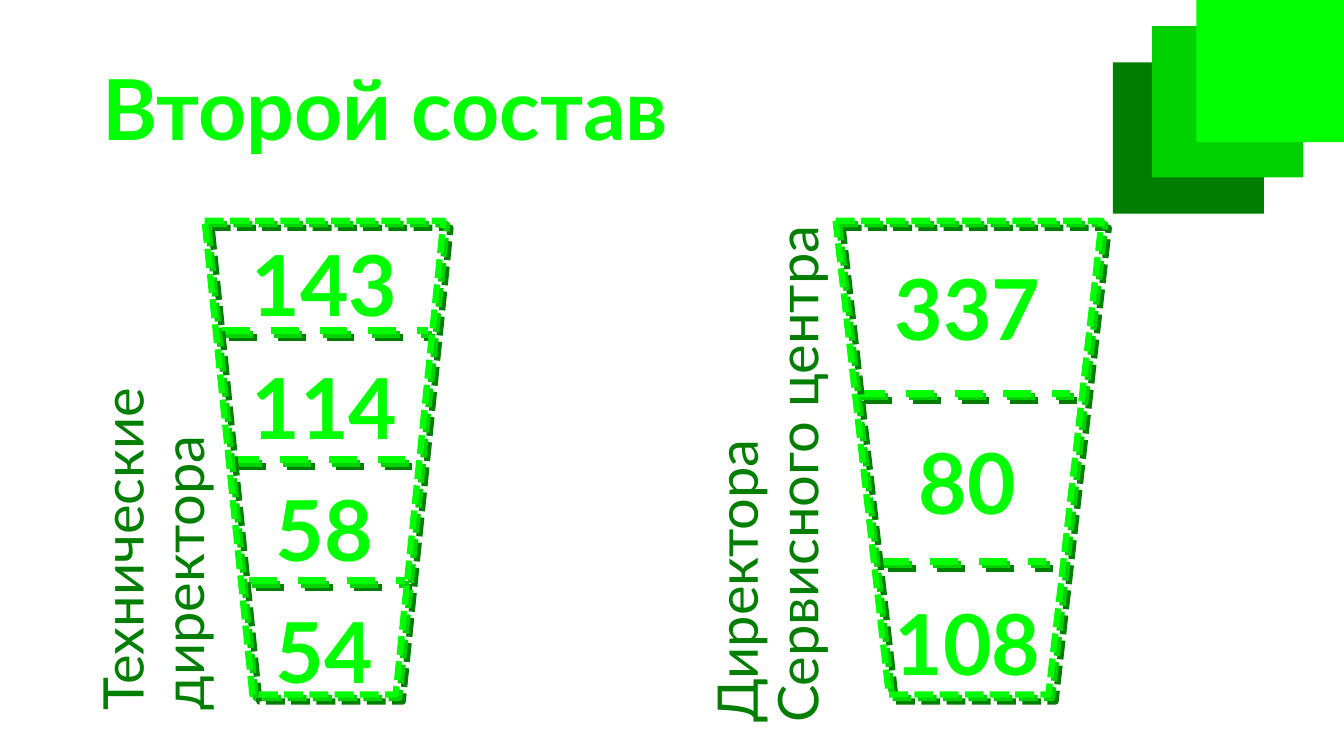
"""Build the slide with two funnels of team figures."""
from lxml.etree import SubElement
from pptx import Presentation
from pptx.dml.color import RGBColor
from pptx.enum.dml import MSO_LINE
from pptx.enum.shapes import MSO_CONNECTOR, MSO_SHAPE
from pptx.enum.text import MSO_ANCHOR, MSO_AUTO_SIZE, PP_ALIGN
from pptx.oxml.ns import qn
from pptx.util import Pt

COLORS = {"dark": "007E00", "middle": "00D200", "bright": "00FF00"}
LAYERS = ("dark", "middle", "bright")
FONT = "Lato"
LAYER_STEP = 2.5
FUNNEL_TOP, FUNNEL_HEIGHT = 157.7, 338.4
VALUE_HEIGHT = 80
NARROW, WIDE = 133.2, 214.6

FUNNELS = (
    {
        "left": 146.2, "width": 170.6, "center": 231.8,
        "dividers": ((158.4, 306, 236.2), (164.9, 296.6, 328.3), (177.8, 289.4, 414.7)),
        "values": (("143", 162.7, NARROW), ("114", 250.6, NARROW),
                   ("58", 337.7, NARROW), ("54", 424.8, WIDE)),
        "label": ("Технические директора", -69.8, 284.4, 364.3),
    },
    {
        "left": 596.9, "width": 190.1, "center": 691,
        "dividers": ((612, 764.6, 280.8), (629.3, 747.4, 401)),
        "values": (("337", 180, NARROW), ("80", 303.8, NARROW), ("108", 419, WIDE)),
        "label": ("Директора Сервисного центра", 331.9, 256.3, 438.5),
    },
)
SQUARES = ((794.9, 44.6), (823, 18.7), (854.6, -6.5))
SQUARE_SIDE = 108


def color(name):
    return RGBColor.from_string(COLORS[name])


def style_line(line, name, width, dash):
    line.color.rgb = color(name)
    line.width = Pt(width)
    line.dash_style = dash


def style_paragraph(paragraph, size, name, bold, alignment):
    paragraph.alignment = alignment
    font = paragraph.font
    font.name, font.size, font.bold = FONT, Pt(size), bold
    font.color.rgb = color(name)


def add_text(slide, text, left, top, width, height):
    box = slide.shapes.add_textbox(Pt(left), Pt(top), Pt(width), Pt(height))
    box.text_frame.word_wrap = True
    box.text_frame.text = text
    return box, box.text_frame.paragraphs[0]


def add_value(slide, text, center, top, width):
    paragraph = add_text(slide, text, center - width / 2, top, width, VALUE_HEIGHT)[1]
    style_paragraph(paragraph, 60, "bright", True, PP_ALIGN.CENTER)


def add_label(slide, text, left, top, width):
    box, paragraph = add_text(slide, text, left, top, width, 95.8)
    box.rotation = 270
    style_paragraph(paragraph, 40, "dark", False, PP_ALIGN.LEFT)
    paragraph.line_spacing = 0.9
    paragraph.space_before = Pt(10)


def add_divider(slide, start, end, top):
    for index, name in enumerate(LAYERS):
        shift = (len(LAYERS) - 1 - index) * LAYER_STEP
        line = slide.shapes.add_connector(
            MSO_CONNECTOR.STRAIGHT, Pt(start + shift), Pt(top + shift),
            Pt(end + shift), Pt(top + shift))
        style_line(line.line, name, 5, MSO_LINE.DASH)
        SubElement(line._element.spPr, qn("a:effectLst"))


def add_outline(slide, left, width):
    for index, name in enumerate(LAYERS):
        shift = (len(LAYERS) - 1 - index) * LAYER_STEP
        shape = slide.shapes.add_shape(
            MSO_SHAPE.FLOWCHART_MANUAL_OPERATION, Pt(left + shift),
            Pt(FUNNEL_TOP + shift), Pt(width), Pt(FUNNEL_HEIGHT))
        shape.shadow.inherit = False
        shape.fill.background()
        style_line(shape.line, name, 4.5, MSO_LINE.SQUARE_DOT)


def add_funnel(slide, funnel):
    for value in funnel["values"]:
        text, top, width = value
        add_value(slide, text, funnel["center"], top, width)
    add_label(slide, *funnel["label"])
    for divider in funnel["dividers"]:
        add_divider(slide, *divider)
    add_outline(slide, funnel["left"], funnel["width"])


def add_squares(slide):
    for name, (left, top) in zip(LAYERS, SQUARES):
        square = slide.shapes.add_shape(
            MSO_SHAPE.RECTANGLE, Pt(left), Pt(top), Pt(SQUARE_SIDE), Pt(SQUARE_SIDE))
        square.shadow.inherit = False
        square.fill.solid()
        square.fill.fore_color.rgb = color(name)
        square.line.fill.background()


def set_title(slide, text):
    title = slide.shapes.title
    title.left, title.top, title.width, title.height = Pt(66), Pt(28.8), Pt(828), Pt(104.4)
    frame = title.text_frame
    frame.text = text
    frame.auto_size = MSO_AUTO_SIZE.NONE
    frame.vertical_anchor = MSO_ANCHOR.MIDDLE
    style_paragraph(frame.paragraphs[0], 60, "bright", True, PP_ALIGN.LEFT)
    frame.paragraphs[0].line_spacing = 0.9


def main():
    presentation = Presentation()
    presentation.slide_width, presentation.slide_height = Pt(960), Pt(540)
    slide = presentation.slides.add_slide(presentation.slide_layouts[5])
    set_title(slide, "Второй состав")
    for funnel in FUNNELS:
        add_funnel(slide, funnel)
    add_squares(slide)
    presentation.save("out.pptx")


if __name__ == "__main__":
    main()
